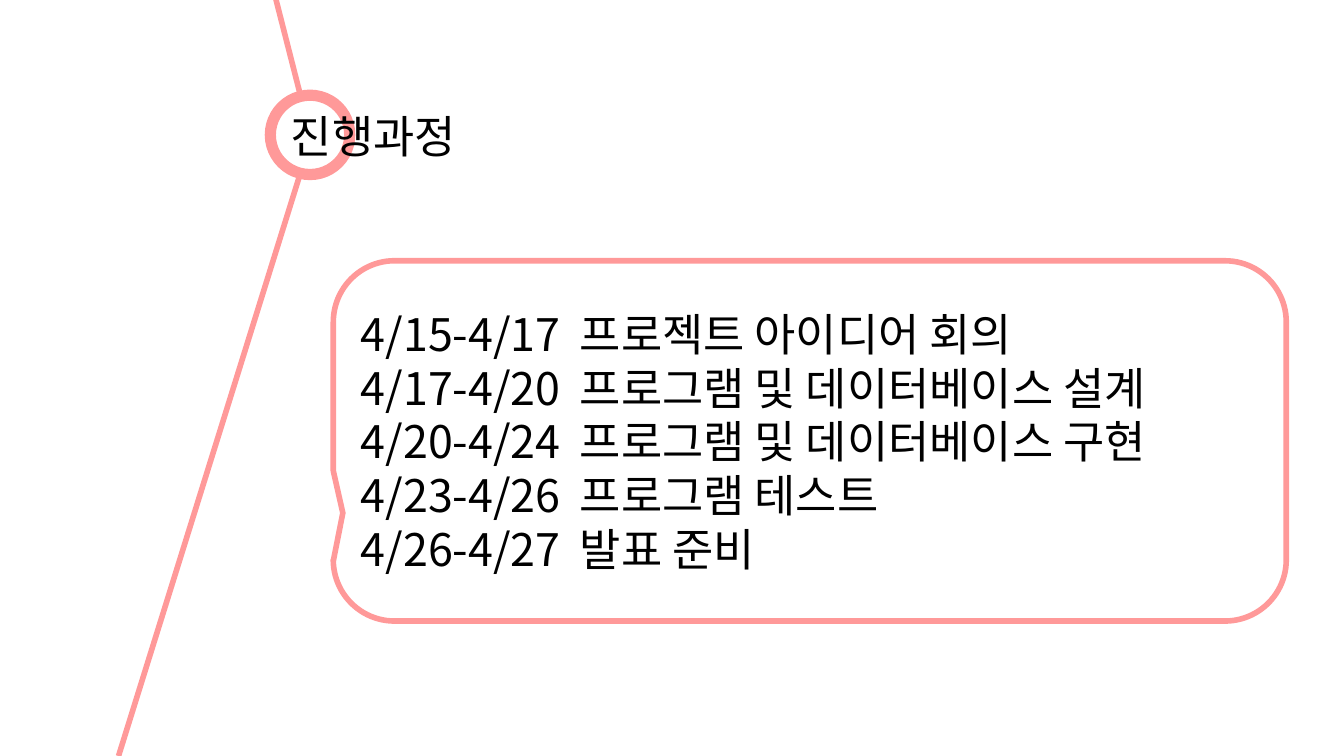
import pptx
import pptx.dml.color
import pptx.enum.shapes
import pptx.enum.text
import pptx.oxml.ns
import pptx.util
import lxml.etree

Cm = pptx.util.Cm
Pt = pptx.util.Pt
qn = pptx.oxml.ns.qn
SHAPES = pptx.enum.shapes.MSO_SHAPE
ANCHOR = pptx.enum.text.MSO_ANCHOR
ALIGN = pptx.enum.text.PP_ALIGN

COLORS = {"pink": "FF9999", "white": "FFFFFF", "ink": "000000"}
SCHEDULE = [
    ("4/15-4/17", "프로젝트 아이디어 회의"),
    ("4/17-4/20", "프로그램 및 데이터베이스 설계"),
    ("4/20-4/24", "프로그램 및 데이터베이스 구현"),
    ("4/23-4/26", "프로그램 테스트"),
    ("4/26-4/27", "발표 준비"),
]


class SlideBuilder:
    font = "Noto Sans CJK KR"
    size = Pt(24)

    def __init__(self, slide):
        self.slide = slide

    def color(self, name):
        return pptx.dml.color.RGBColor.from_string(COLORS[name])

    def outline(self, line, width):
        line.color.rgb = self.color("pink")
        line.width = Pt(width)

    def format_text(self, frame, align, anchor):
        frame.word_wrap = True
        frame.vertical_anchor = anchor
        frame.margin_left = frame.margin_right = Cm(0.18)
        frame.margin_top = frame.margin_bottom = Cm(0.1)
        for paragraph in frame.paragraphs:
            paragraph.alignment = align
            for run in paragraph.runs:
                run.font.size = self.size
                run.font.name = self.font
                run.font.color.rgb = self.color("ink")
                east_asian = lxml.etree.SubElement(run.font._element, qn("a:ea"))
                east_asian.set("typeface", self.font)

    def title(self, text, left, top, width, height):
        heading = self.slide.shapes.title
        heading.left, heading.top = Cm(left), Cm(top)
        heading.width, heading.height = Cm(width), Cm(height)
        heading.text_frame.text = text
        heading.text_frame.auto_size = pptx.enum.text.MSO_AUTO_SIZE.SHAPE_TO_FIT_TEXT
        self.format_text(heading.text_frame, ALIGN.CENTER, ANCHOR.TOP)
        self.slide.shapes._spTree.append(heading._element)

    def path_line(self, x1, y1, x2, y2):
        segment = self.slide.shapes.add_connector(
            pptx.enum.shapes.MSO_CONNECTOR.STRAIGHT, Cm(x1), Cm(y1), Cm(x2), Cm(y2))
        self.outline(segment.line, 3)
        lxml.etree.SubElement(segment._element.spPr, qn("a:effectLst"))

    def shape(self, kind, left, top, width, height, line_width, fill=None):
        item = self.slide.shapes.add_shape(kind, Cm(left), Cm(top), Cm(width), Cm(height))
        item.shadow.inherit = False
        if fill:
            item.fill.solid()
            item.fill.fore_color.rgb = self.color(fill)
        else:
            item.fill.background()
        self.outline(item.line, line_width)
        return item

    def milestone(self, left, top, diameter):
        self.shape(SHAPES.OVAL, left, top, diameter, diameter, 6, "white")

    def schedule_callout(self, rows, left, top, width, height, tab):
        callout = self.shape(SHAPES.ROUNDED_RECTANGULAR_CALLOUT, left, top, width, height, 3)
        for index, value in enumerate((-0.49, 0.2, 0.17)):
            callout.adjustments[index] = value
        frame = callout.text_frame
        frame.text = "\n".join(f"{dates}\t{task}" for dates, task in rows)
        self.format_text(frame, ALIGN.LEFT, ANCHOR.MIDDLE)
        for paragraph in frame.paragraphs:
            stops = lxml.etree.SubElement(paragraph._p.get_or_add_pPr(), qn("a:tabLst"))
            lxml.etree.SubElement(stops, qn("a:tab"), pos=str(Cm(tab)), algn="l")


def main():
    deck = pptx.Presentation()
    deck.slide_width, deck.slide_height = Cm(25.4), Cm(14.29)
    builder = SlideBuilder(deck.slides.add_slide(deck.slide_layouts[5]))
    builder.path_line(5.21, -0.03, 5.69, 1.85)
    builder.path_line(2.24, 14.29, 5.89, 2.59)
    builder.milestone(5.11, 1.8, 1.5)
    builder.schedule_callout(SCHEDULE, 6.3, 4.93, 18.01, 6.81, tab=4.14)
    builder.title("진행과정", 3.51, 1.96, 7.09, 1.22)
    deck.save("out.pptx")


if __name__ == "__main__":
    main()
